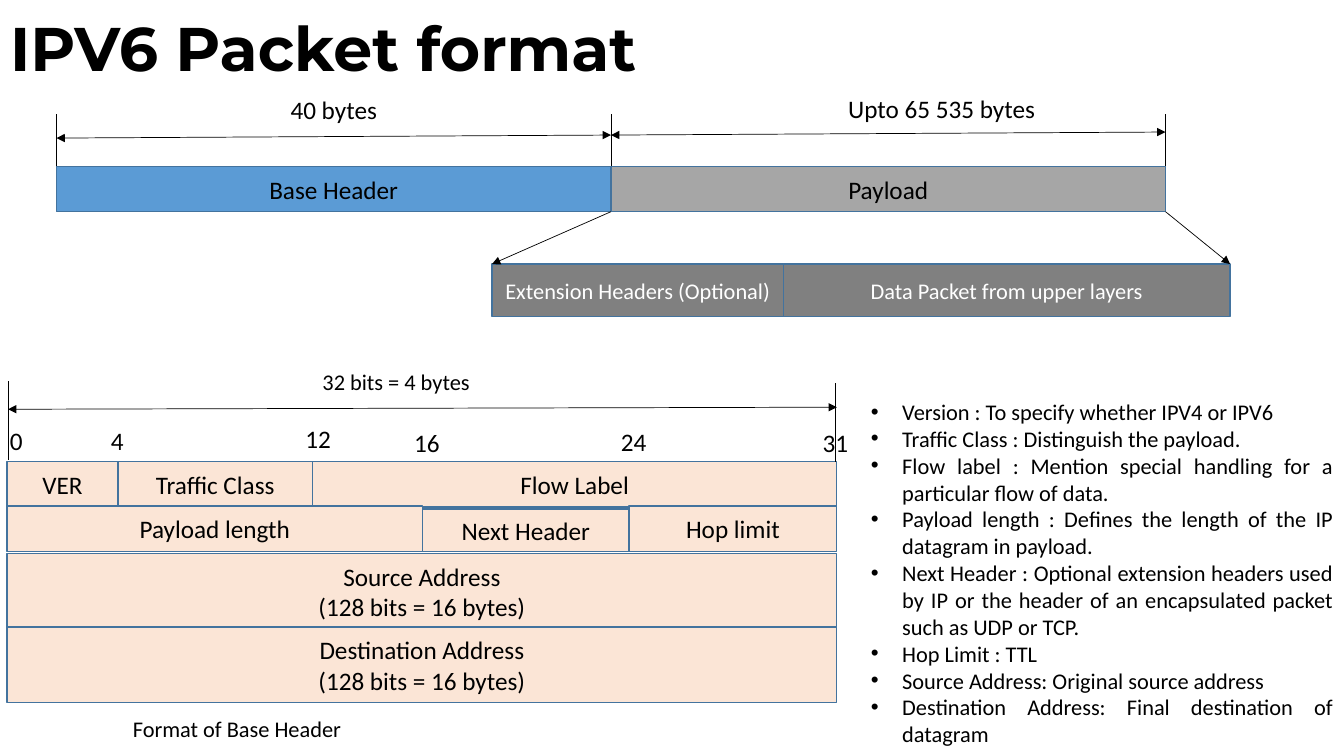
from lxml.etree import SubElement
from pptx import Presentation
from pptx.dml.color import RGBColor
from pptx.enum.shapes import MSO_CONNECTOR, MSO_SHAPE
from pptx.enum.text import MSO_ANCHOR, PP_ALIGN
from pptx.oxml.ns import qn
from pptx.util import Inches, Pt

COLORS = {
    "black": "000000", "white": "FFFFFF", "outline": "43739E", "header": "5B9BD5",
    "payload": "A6A6A6", "extension": "808080", "field": "FBE5D6",
}
TITLE = "IPV6 Packet format"

# Edges of the packet and of its expanded payload, from left to right
PACKET_EDGES = [0.56, 6.06, 11.56]
PACKET_PARTS = [("Base Header", "header"), ("Payload", "payload")]
PACKET_TOP, PACKET_HEIGHT = 1.65, 0.45
EXPANDED_EDGES = [4.88, 7.77, 12.2]
EXPANDED_PARTS = ["Extension Headers (Optional)", "Data Packet from upper layers"]
EXPANDED_TOP, EXPANDED_HEIGHT = 2.62, 0.52
ARROW_HEIGHTS = [1.37, 1.34, 1.31]

# Base header: horizontal place of each bit number, then rows of fields
BIT_EDGES = {0: 0.07, 4: 1.17, 12: 3.1, 16: 4.19, 24: 6.24, 32: 8.3}
ADDRESS_SIZE = "(128 bits = 16 bytes)"
HEADER_ROWS = [  # top, height, fields as (first bit, end bit, lines)
    (4.58, 0.45, [(0, 4, ["VER"]), (4, 12, ["Traffic Class"]), (12, 32, ["Flow Label"])]),
    (5.02, 0.45, [(0, 16, ["Payload length"]), (16, 24, ["Next Header"]),
                  (24, 32, ["Hop limit"])]),
    (5.49, 0.75, [(0, 32, ["Source Address", ADDRESS_SIZE])]),
    (6.22, 0.75, [(0, 32, ["Destination Address", ADDRESS_SIZE])]),
]
FIELD_DROP = {"Next Header": 0.03}  # this field sits slightly lower in its row

LABELS = [  # text, left, top, width, height, size, alignment
    ("40 bytes", 2.37, 0.89, 1.88, 0.35, 18, PP_ALIGN.CENTER),
    ("Upto 65 535 bytes", 7.87, 0.88, 2.94, 0.35, 18, PP_ALIGN.CENTER),
    ("32 bits = 4 bytes", 3.1, 3.6, 1.72, 0.37, 16, PP_ALIGN.LEFT),
    ("Format of Base Header", 1.22, 7.05, 2.3, 0.37, 16, PP_ALIGN.LEFT),
]
BIT_NUMBERS = [("0", 0, 4.17), ("4", 1, 4.17), ("12", 2.93, 4.15),
               ("16", 4.01, 4.19), ("24", 6.06, 4.18), ("31", 8.06, 4.19)]
FIELD_NOTES = [
    "Version : To specify whether IPV4 or IPV6",
    "Trafﬁc Class : Distinguish the payload.",
    "Flow label : Mention special handling for a particular ﬂow of data.",
    "Payload length : Defines the length of the IP datagram in payload.",
    "Next Header : Optional extension headers used by IP or the header of an "
    "encapsulated packet such as UDP or TCP.",
    "Hop Limit : TTL",
    "Source Address: Original source address",
    "Destination Address: Final destination of datagram",
]


def color(name):
    return RGBColor.from_string(COLORS[name])


def write(frame, lines, size, alignment, text_color="black", bulleted=False):
    frame.word_wrap = True
    for index, line in enumerate(lines):
        paragraph = frame.paragraphs[0] if index == 0 else frame.add_paragraph()
        paragraph.alignment = alignment
        if bulleted:
            properties = paragraph._p.get_or_add_pPr()
            properties.set("marL", str(Inches(0.31)))
            properties.set("indent", str(-Inches(0.31)))
            SubElement(properties, qn("a:buFont"), typeface="Arial")
            SubElement(properties, qn("a:buChar"), char="•")
        run = paragraph.add_run()
        run.text = line
        run.font.name = "Calibri"
        run.font.size = Pt(size)
        run.font.color.rgb = color(text_color)


def add_box(slide, left, top, right, height, lines, fill, size=18, text_color="black"):
    shape = slide.shapes.add_shape(MSO_SHAPE.RECTANGLE, Inches(left), Inches(top),
                                   Inches(right - left), Inches(height))
    shape.shadow.inherit = False
    shape.fill.solid()
    shape.fill.fore_color.rgb = color(fill)
    shape.line.color.rgb = color("outline")
    shape.line.width = Pt(1)
    shape.text_frame.vertical_anchor = MSO_ANCHOR.MIDDLE
    write(shape.text_frame, lines, size, PP_ALIGN.CENTER, text_color)


def add_label(slide, lines, left, top, width, height, size, alignment, bulleted=False):
    box = slide.shapes.add_textbox(Inches(left), Inches(top), Inches(width), Inches(height))
    write(box.text_frame, lines, size, alignment, bulleted=bulleted)


def add_line(slide, start, end, arrowheads=()):
    """Draw a thin line; arrowheads may hold headEnd (start) and tailEnd (end)."""
    points = [Inches(value) for value in (*start, *end)]
    connector = slide.shapes.add_connector(MSO_CONNECTOR.STRAIGHT, *points)
    connector.line.color.rgb = color("black")
    connector.line.width = Pt(0.5)
    for arrowhead in arrowheads:
        SubElement(connector.line._get_or_add_ln(), qn(f"a:{arrowhead}"), type="triangle")
    SubElement(connector._element.spPr, qn("a:effectLst"))


def add_title(slide):
    title = slide.shapes.title
    title.left, title.top = Inches(0), Inches(0)
    title.width, title.height = Inches(11.08), Inches(1.03)
    title.text_frame.vertical_anchor = MSO_ANCHOR.MIDDLE
    paragraph = title.text_frame.paragraphs[0]
    paragraph.alignment = PP_ALIGN.LEFT
    paragraph.line_spacing = 0.9
    run = paragraph.add_run()
    run.text = TITLE
    run.font.name = "Montserrat"
    run.font.size = Pt(44)
    run.font.bold = True
    run.font.color.rgb = color("black")


def add_packet(slide):
    both_ends = ("headEnd", "tailEnd")
    for index, (name, fill) in enumerate(PACKET_PARTS):
        left, right = PACKET_EDGES[index:index + 2]
        add_box(slide, left, PACKET_TOP, right, PACKET_HEIGHT, [name], fill)
        add_line(slide, (left, ARROW_HEIGHTS[index]), (right, ARROW_HEIGHTS[index + 1]),
                 both_ends)
    for edge in PACKET_EDGES:
        add_line(slide, (edge, PACKET_TOP), (edge, 1.13))
    for index, name in enumerate(EXPANDED_PARTS):
        left, right = EXPANDED_EDGES[index:index + 2]
        add_box(slide, left, EXPANDED_TOP, right, EXPANDED_HEIGHT, [name], "extension",
                16, "white")
    for start, end in zip(PACKET_EDGES[1:], EXPANDED_EDGES[::2]):
        add_line(slide, (start, PACKET_TOP + PACKET_HEIGHT), (end, EXPANDED_TOP), ("tailEnd",))


def add_base_header(slide):
    for top, height, fields in HEADER_ROWS:
        for first, end, lines in fields:
            drop = FIELD_DROP.get(lines[0], 0)
            add_box(slide, BIT_EDGES[first], top + drop, BIT_EDGES[end], height - drop,
                    lines, "field")
    for number, left, top in BIT_NUMBERS:
        add_label(slide, [number], left, top, 0.48, 0.36, 18, PP_ALIGN.LEFT)
    add_line(slide, (0.08, 3.78), (0.08, 4.56))
    add_line(slide, (8.29, 3.8), (8.29, 4.58))
    add_line(slide, (0.08, 4.06), (8.3, 4.04), ("headEnd", "tailEnd"))


def main():
    presentation = Presentation()
    presentation.slide_width, presentation.slide_height = Inches(13.33), Inches(7.5)
    slide = presentation.slides.add_slide(presentation.slide_layouts[5])
    add_title(slide)
    add_packet(slide)
    add_base_header(slide)
    for text, *place in LABELS:
        add_label(slide, [text], *place)
    add_label(slide, FIELD_NOTES, 8.54, 3.9, 4.78, 3.6, 16, PP_ALIGN.JUSTIFY, bulleted=True)
    presentation.save("out.pptx")


if __name__ == "__main__":
    main()
